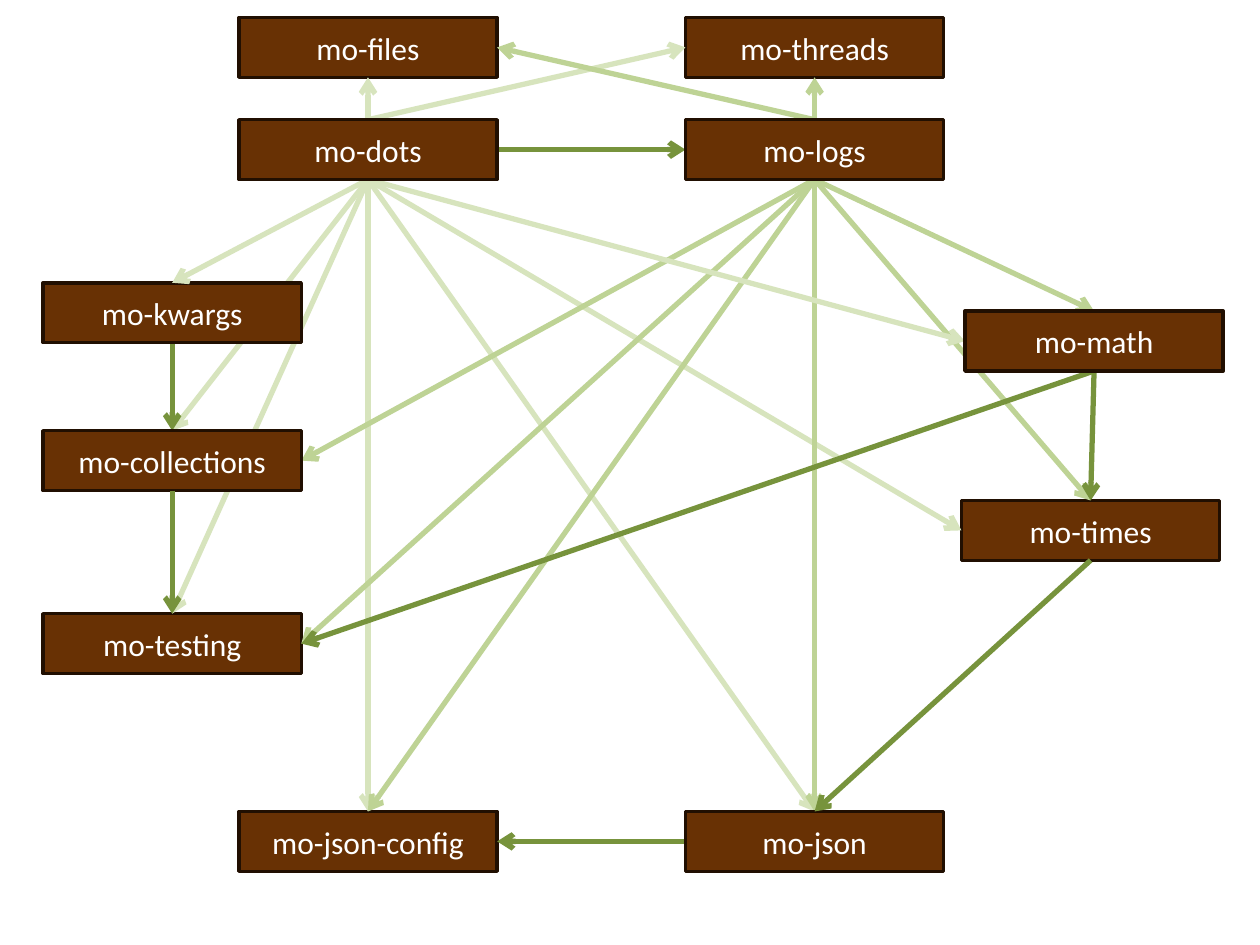
from lxml.etree import SubElement
from pptx import Presentation
from pptx.dml.color import RGBColor
from pptx.enum.shapes import MSO_CONNECTOR as Connector, MSO_SHAPE as Shape
from pptx.enum.text import MSO_ANCHOR as Anchor, PP_ALIGN as Align
from pptx.oxml.ns import qn
from pptx.util import Pt

BOX_WIDTH, BOX_HEIGHT = 147.6, 34.2
TOP, LEFT, BOTTOM, RIGHT = range(4)
PALE, MEDIUM, DARK = "D7E4BD", "BED395", "77933C"

# Module name: left, top
MODULES = {
    "mo-times": (549.4, 286),
    "mo-threads": (391.7, 10),
    "mo-testing": (24.6, 350.7),
    "mo-json-config": (136.5, 463.7),
    "mo-files": (136.5, 10),
    "mo-kwargs": (24.6, 161.6),
    "mo-json": (391.7, 463.7),
    "mo-collections": (24.6, 246.1),
    "mo-logs": (391.7, 68.4),
    "mo-dots": (136.5, 68.4),
    "mo-math": (551.4, 177.8),
}

# Source, side it leaves, target, side it enters, colour
DEPENDENCIES = [
    ("mo-dots", TOP, "mo-threads", LEFT, PALE),
    ("mo-logs", TOP, "mo-threads", BOTTOM, MEDIUM),
    ("mo-dots", RIGHT, "mo-logs", LEFT, DARK),
    ("mo-dots", BOTTOM, "mo-json", TOP, PALE),
    ("mo-json", LEFT, "mo-json-config", RIGHT, DARK),
    ("mo-logs", BOTTOM, "mo-times", TOP, MEDIUM),
    ("mo-dots", BOTTOM, "mo-times", LEFT, PALE),
    ("mo-math", BOTTOM, "mo-times", TOP, DARK),
    ("mo-logs", BOTTOM, "mo-math", TOP, MEDIUM),
    ("mo-dots", TOP, "mo-files", BOTTOM, PALE),
    ("mo-logs", TOP, "mo-files", RIGHT, MEDIUM),
    ("mo-dots", BOTTOM, "mo-collections", TOP, PALE),
    ("mo-kwargs", BOTTOM, "mo-collections", TOP, DARK),
    ("mo-logs", BOTTOM, "mo-json", TOP, MEDIUM),
    ("mo-dots", BOTTOM, "mo-json-config", TOP, PALE),
    ("mo-logs", BOTTOM, "mo-json-config", TOP, MEDIUM),
    ("mo-logs", BOTTOM, "mo-testing", RIGHT, MEDIUM),
    ("mo-dots", BOTTOM, "mo-testing", TOP, PALE),
    ("mo-dots", BOTTOM, "mo-kwargs", TOP, PALE),
    ("mo-logs", BOTTOM, "mo-collections", RIGHT, MEDIUM),
    ("mo-dots", BOTTOM, "mo-math", LEFT, PALE),
    ("mo-collections", BOTTOM, "mo-testing", TOP, DARK),
    ("mo-math", BOTTOM, "mo-testing", RIGHT, DARK),
    ("mo-times", BOTTOM, "mo-json", TOP, DARK),
]

# Boxes brought to the front once the given arrow is drawn
RAISED = {
    ("mo-dots", "mo-testing"): ["mo-kwargs", "mo-json"],
    ("mo-logs", "mo-collections"): ["mo-collections"],
    ("mo-times", "mo-json"): ["mo-logs", "mo-dots", "mo-math"],
}


def paint(color_format, color):
    """Set a colour format to a hex colour."""
    color_format.rgb = RGBColor.from_string(color)


deck = Presentation()
deck.slide_width, deck.slide_height = Pt(720), Pt(540)
page = deck.slides.add_slide(deck.slide_layouts[6])

boxes = {}
for name, (left, top) in MODULES.items():
    box = page.shapes.add_shape(
        Shape.RECTANGLE, Pt(left), Pt(top), Pt(BOX_WIDTH), Pt(BOX_HEIGHT))
    box.shadow.inherit = False
    box.fill.solid()
    paint(box.fill.fore_color, "683104")
    paint(box.line.color, "210F01")
    box.line.width = Pt(2)
    box.text_frame.text = name
    box.text_frame.vertical_anchor = Anchor.MIDDLE
    para = box.text_frame.paragraphs[0]
    para.alignment = Align.CENTER
    font = para.runs[0].font
    font.name, font.size = "Calibri", Pt(18)
    paint(font.color, "FFFFFF")
    boxes[name] = box

for source, exit_side, target, entry_side, color in DEPENDENCIES:
    arrow = page.shapes.add_connector(Connector.STRAIGHT, 0, 0, 0, 0)
    arrow.begin_connect(boxes[source], exit_side)
    arrow.end_connect(boxes[target], entry_side)
    paint(arrow.line.color, color)
    arrow.line.width = Pt(3)
    properties = arrow._element.spPr
    SubElement(properties.find(qn("a:ln")), qn("a:tailEnd"), type="arrow")
    SubElement(properties, qn("a:effectLst"))
    for name in RAISED.get((source, target), []):
        element = boxes[name]._element
        element.getparent().append(element)

deck.save("out.pptx")
